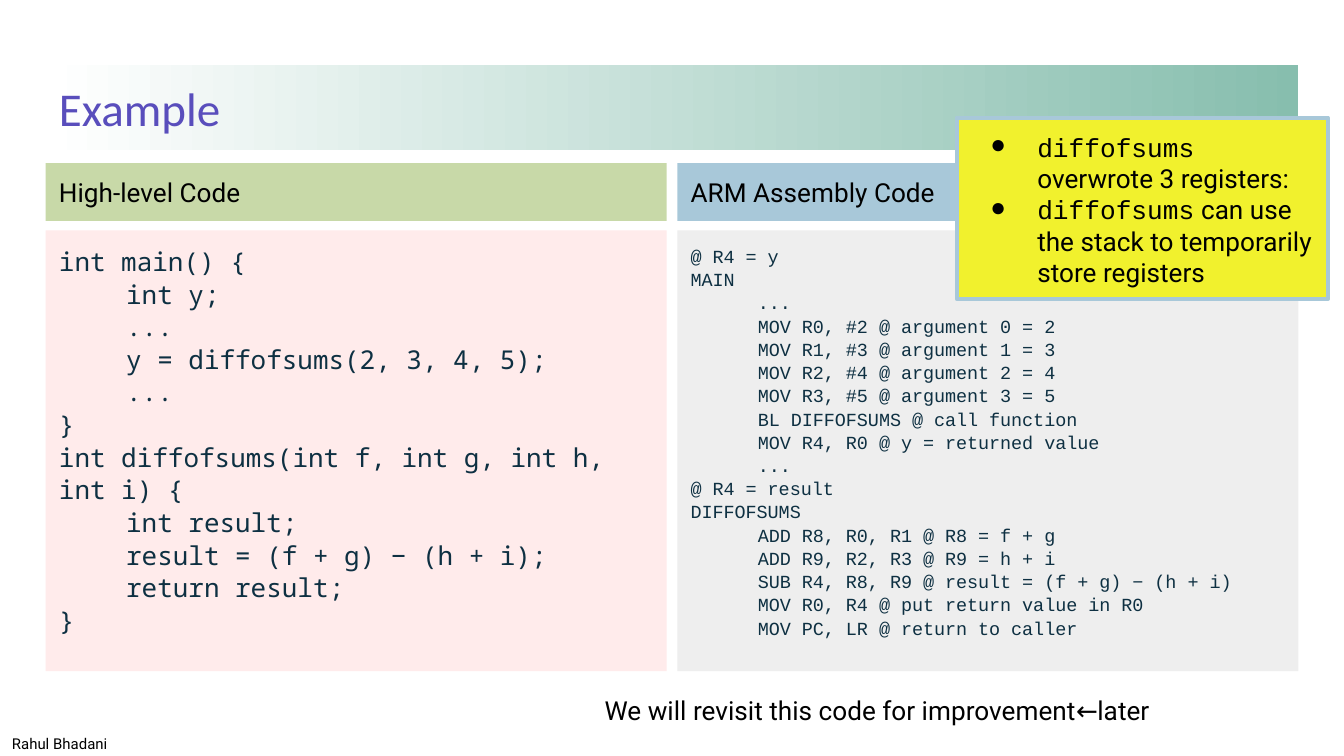
from dataclasses import dataclass

from lxml.etree import SubElement
from pptx import Presentation
from pptx.dml.color import RGBColor
from pptx.enum.shapes import MSO_SHAPE
from pptx.enum.text import MSO_ANCHOR, PP_ALIGN
from pptx.oxml.ns import qn
from pptx.util import Inches, Pt


@dataclass(frozen=True)
class Theme:
    """Colours, fonts and type sizes of the slide."""
    text: str = "000000"
    title: str = "594EBC"
    code: str = "0E3042"
    band_start: str = "FFFFFF"
    band_end: str = "87BEAE"
    green: str = "C8D9A8"
    blue: str = "A8C8D9"
    pink: str = "FFEBEB"
    gray: str = "EEEEEE"
    yellow: str = "F1F12D"
    title_font: str = "Calibri"
    body_font: str = "Roboto"
    wide_code_font: str = "Noto Sans Mono"
    code_font: str = "Courier New"
    title_size: float = 25.2
    body_size: float = 14
    footer_size: float = 8
    wide_code_size: float = 13.9
    code_size: float = 9.9


@dataclass(frozen=True)
class Box:
    """A rectangle measured in grid columns and rows."""
    column: float
    row: float
    columns: float
    rows: float

    def place(self):
        """Return left, top, width and height as lengths."""
        return [round(GRID * n) for n in (self.column, self.row, self.columns, self.rows)]

    def split(self, rows, gap):
        """Return the top part of the given height and the part below the gap."""
        below = rows + gap
        return (Box(self.column, self.row, self.columns, rows),
                Box(self.column, self.row + below, self.columns, self.rows - below))


THEME = Theme()
GRID = Inches(0.1)
COLUMNS, ROWS = 100, 56.25
MARGIN, GUTTER = 3.4, 0.8
PANEL_WIDTH = (COLUMNS - 2 * MARGIN - GUTTER) / 2
HEADER_HEIGHT, HEADER_GAP = 4.3, 0.7
INSET, INDENT, HANGING = 1, 5, 3.5

HIGH_LEVEL_CODE = """\
int main() {
    int y;
    ...
    y = diffofsums(2, 3, 4, 5);
    ...
}
int diffofsums(int f, int g, int h, int i) {
    int result;
    result = (f + g) − (h + i);
    return result;
}"""

ASSEMBLY_CODE = """\
@ R4 = y
MAIN
    ...
    MOV R0, #2 @ argument 0 = 2
    MOV R1, #3 @ argument 1 = 3
    MOV R2, #4 @ argument 2 = 4
    MOV R3, #5 @ argument 3 = 5
    BL DIFFOFSUMS @ call function
    MOV R4, R0 @ y = returned value
    ...
@ R4 = result
DIFFOFSUMS
    ADD R8, R0, R1 @ R8 = f + g
    ADD R9, R2, R3 @ R9 = h + i
    SUB R4, R8, R9 @ result = (f + g) − (h + i)
    MOV R0, R4 @ put return value in R0
    MOV PC, LR @ return to caller"""

CALLOUT_POINTS = [
    ("diffofsums", " overwrote 3 registers:"),
    ("diffofsums", " can use the stack to temporarily store registers"),
]


def style(font, name, size, color):
    """Set the typeface, size and colour of a font."""
    font.name, font.size = name, Pt(size)
    font.color.rgb = RGBColor.from_string(color)


def set_frame(shape, anchor):
    """Give a shape's text equal insets, wrapping and an anchor."""
    frame = shape.text_frame
    frame.word_wrap = True
    frame.vertical_anchor = anchor
    frame.margin_left = frame.margin_right = GRID * INSET
    frame.margin_top = frame.margin_bottom = GRID * INSET


def add_panel(page, box, fill=None, anchor=MSO_ANCHOR.TOP):
    """Add a rectangle without outline, filled if a colour is given."""
    panel = page.shapes.add_shape(MSO_SHAPE.RECTANGLE, *box.place())
    panel.shadow.inherit = False
    panel.line.fill.background()
    if fill:
        panel.fill.solid()
        panel.fill.fore_color.rgb = RGBColor.from_string(fill)
    set_frame(panel, anchor)
    return panel


def add_paragraphs(frame, count):
    """Return the given number of left-aligned paragraphs of a frame."""
    paras = [frame.paragraphs[0]] + [frame.add_paragraph() for _ in range(count - 1)]
    for para in paras:
        para.alignment = PP_ALIGN.LEFT
    return paras


def write_line(shape, text, name, size, color):
    """Write one paragraph into a shape."""
    para, = add_paragraphs(shape.text_frame, 1)
    para.text = text
    style(para.font, name, size, color)


def indent(para, left, first=0):
    """Indent a paragraph by grid columns."""
    properties = para._p.get_or_add_pPr()
    properties.set("marL", str(round(GRID * left)))
    properties.set("indent", str(round(GRID * first)))
    return properties


def add_title(page, box, text):
    """Place the title on a band that fades in from the left."""
    band = add_panel(page, box, anchor=MSO_ANCHOR.MIDDLE)
    band.fill.gradient()
    band.fill.gradient_angle = 0
    for stop, color in zip(band.fill.gradient_stops, (THEME.band_start, THEME.band_end)):
        stop.color.rgb = RGBColor.from_string(color)
    write_line(band, text, THEME.title_font, THEME.title_size, THEME.title)


def add_code_column(page, box, heading, heading_fill, code, code_fill, name, size):
    """Place a heading bar with a code listing below it."""
    top, body = box.split(HEADER_HEIGHT, HEADER_GAP)
    bar = add_panel(page, top, heading_fill, MSO_ANCHOR.MIDDLE)
    write_line(bar, heading, THEME.body_font, THEME.body_size, THEME.text)
    frame = add_panel(page, body, code_fill).text_frame
    lines = code.splitlines()
    for para, line in zip(add_paragraphs(frame, len(lines)), lines):
        para.text = line.strip()
        para.line_spacing = 1.05
        indent(para, INDENT if line.startswith(" ") else 0)
        style(para.font, name, size, THEME.code)


def add_callout(page, box, points):
    """Place the outlined note with bulleted points."""
    note = add_panel(page, box, THEME.yellow)
    note.line.color.rgb = RGBColor.from_string(THEME.blue)
    note.line.width = Pt(2.25)
    for para, spans in zip(add_paragraphs(note.text_frame, len(points)), points):
        properties = indent(para, INDENT, -HANGING)
        bullet_color = SubElement(properties, qn("a:buClr"))
        SubElement(bullet_color, qn("a:srgbClr"), val=THEME.text)
        SubElement(properties, qn("a:buFont"), typeface=THEME.code_font)
        SubElement(properties, qn("a:buChar"), char="●")
        for text, name in zip(spans, (THEME.code_font, THEME.body_font)):
            span = para.add_run()
            span.text = text
            style(span.font, name, THEME.body_size, THEME.text)


def add_note(page, box, text, size):
    """Place a plain line of text."""
    note = page.shapes.add_textbox(*box.place())
    set_frame(note, MSO_ANCHOR.MIDDLE)
    write_line(note, text, THEME.body_font, size, THEME.text)


def main():
    """Build the deck and save it."""
    deck = Presentation()
    deck.slide_width, deck.slide_height = round(GRID * COLUMNS), round(GRID * ROWS)
    page = deck.slides.add_slide(deck.slide_layouts[6])
    add_title(page, Box(MARGIN, 4.85, COLUMNS - 2 * MARGIN, 6.3), "Example")
    columns = [
        ("High-level Code", THEME.green, HIGH_LEVEL_CODE, THEME.pink,
         THEME.wide_code_font, THEME.wide_code_size),
        ("ARM Assembly Code", THEME.blue, ASSEMBLY_CODE, THEME.gray,
         THEME.code_font, THEME.code_size),
    ]
    for index, content in enumerate(columns):
        left = MARGIN + index * (PANEL_WIDTH + GUTTER)
        add_code_column(page, Box(left, 12.15, PANEL_WIDTH, 37.8), *content)
    add_callout(page, Box(71.2, 8.75, 27.6, 13.5), CALLOUT_POINTS)
    add_note(page, Box(44, 50.3, 48.9, 5.1),
             "We will revisit this code for improvement←later", THEME.body_size)
    add_note(page, Box(-0.1, 53.3, 16.9, 4), "Rahul Bhadani", THEME.footer_size)
    deck.save("out.pptx")


if __name__ == "__main__":
    main()
